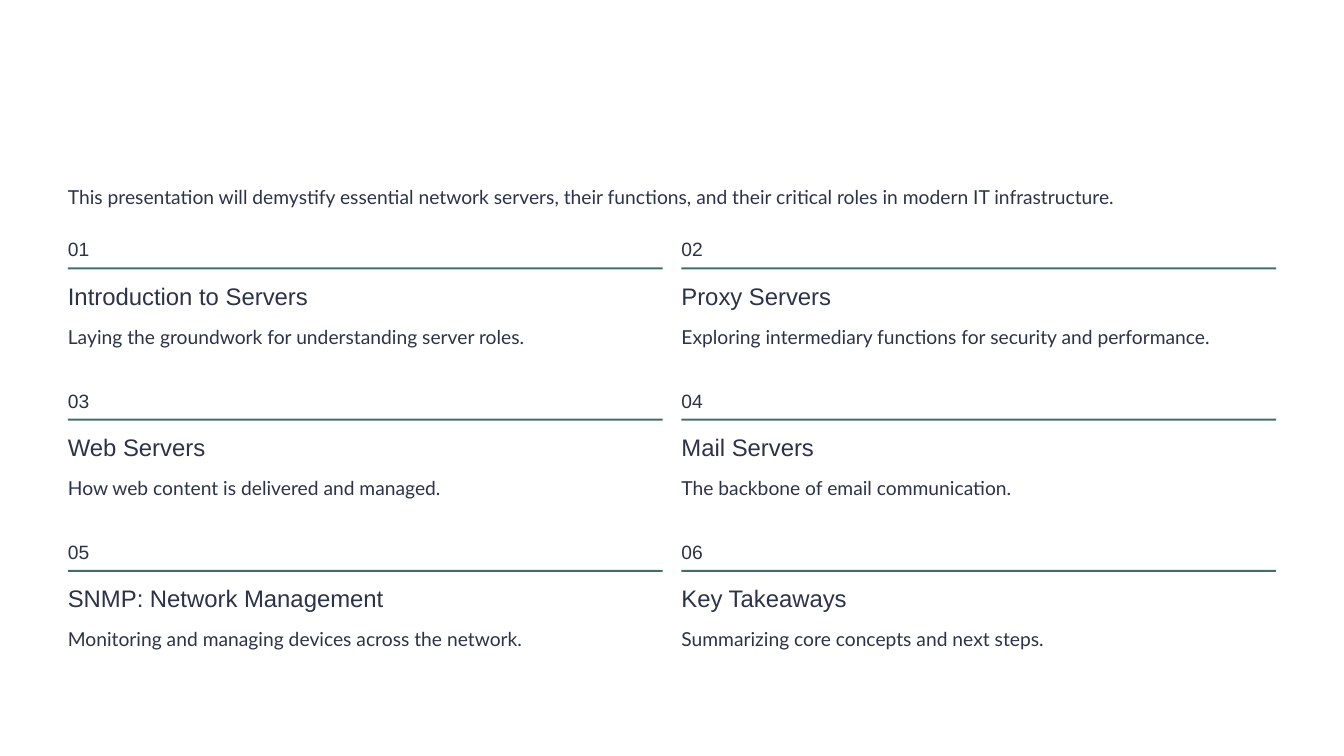
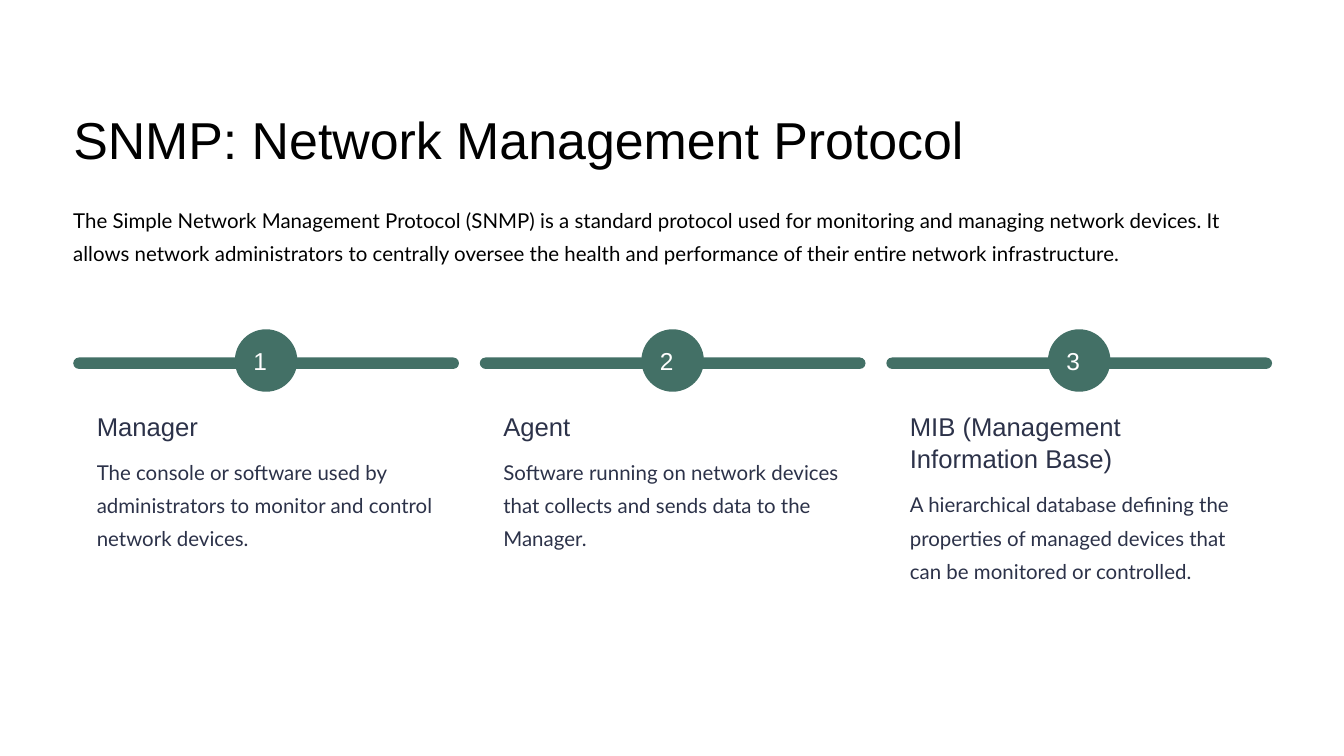
from pptx import Presentation
from pptx.dml.color import RGBColor
from pptx.enum.shapes import MSO_SHAPE
from pptx.util import Inches, Pt

RECT = MSO_SHAPE.RECTANGLE
ROUND = MSO_SHAPE.ROUNDED_RECTANGLE
OVAL = MSO_SHAPE.OVAL

GREEN, INK, BLACK, WHITE = "437066", "2C3249", "000000", "FFFFFF"
HEAD, BODY = "Arial", "Lato"

TOPICS = [
    ("Introduction to Servers", "Laying the groundwork for understanding server roles."),
    ("Proxy Servers", "Exploring intermediary functions for security and performance."),
    ("Web Servers", "How web content is delivered and managed."),
    ("Mail Servers", "The backbone of email communication."),
    ("SNMP: Network Management", "Monitoring and managing devices across the network."),
    ("Key Takeaways", "Summarizing core concepts and next steps."),
]

STEPS = [
    ("Manager", 1, "The console or software used by administrators to monitor "
     "and control network devices."),
    ("Agent", 1, "Software running on network devices that collects and sends "
     "data to the Manager."),
    ("MIB (Management Information Base)", 2, "A hierarchical database defining "
     "the properties of managed devices that can be monitored or controlled."),
]


def rgb(code):
    """Turn a hex string into a colour."""
    return RGBColor.from_string(code)


def write(slide, box, text, font, size, lead, color=INK):
    """Place one paragraph of text without margins."""
    frame = slide.shapes.add_textbox(*map(Inches, box)).text_frame
    frame.word_wrap = True
    frame.margin_left = frame.margin_right = 0
    frame.margin_top = frame.margin_bottom = 0
    para = frame.paragraphs[0]
    para.text = text
    para.line_spacing = Pt(lead)
    para.font.name = font
    para.font.size = Pt(size)
    para.font.color.rgb = rgb(color)


def block(slide, kind, box):
    """Place a plain green shape."""
    shape = slide.shapes.add_shape(kind, *map(Inches, box))
    shape.shadow.inherit = False
    shape.fill.solid()
    shape.fill.fore_color.rgb = rgb(GREEN)
    shape.line.fill.background()
    return shape


def new_slide(deck):
    """Add a blank white slide."""
    slide = deck.slides.add_slide(deck.slide_layouts[6])
    fill = slide.background.fill
    fill.solid()
    fill.fore_color.rgb = rgb(WHITE)
    return slide


def topic(slide, x, y, width, num, title, note):
    """Place a number, rule, title and note for one topic."""
    write(slide, (x, y, 0.83, 0.46), f"{num:02}", HEAD, 20.6, 33.1)
    block(slide, RECT, (x, y + 0.56, width, 0.03))
    write(slide, (x, y + 0.75, 5.51, 0.45), title, HEAD, 25.6, 31.9)
    write(slide, (x, y + 1.3, width, 0.46), note, BODY, 20.6, 33.1)


def step(slide, x, y, width, num, title, lines, note):
    """Place a bar with a numbered disc above a title and note."""
    disc, bar = 0.93, 0.17
    block(slide, ROUND, (x, y + 0.42, width, bar)).adjustments[0] = 0.5
    block(slide, OVAL, (x + (width - disc) / 2, y, disc, disc))
    write(slide, (x + 2.68, y + 0.09, 0.37, 0.6), str(num), HEAD, 26.2, 42.5, WHITE)
    inner, extra = width - 0.71, 0.49 * (lines - 1)
    write(slide, (x + 0.35, y + 1.19, inner, 0.53 + extra), title, HEAD, 27.5, 34.4)
    write(slide, (x + 0.35, y + 1.81 + extra, inner, 1.58), note, BODY, 21.9, 35.6)


def agenda(deck):
    """Build the slide with the grid of topics."""
    slide = new_slide(deck)
    left, top, width, gap, pitch = 1.01, 3.42, 8.85, 0.28, 2.25
    write(slide, (left, 2.64, 17.98, 0.55),
          "This presentation will demystify essential network servers, their "
          "functions, and their critical roles in modern IT infrastructure.",
          BODY, 20.6, 33.1)
    for i, (title, note) in enumerate(TOPICS):
        row, col = divmod(i, 2)
        topic(slide, left + col * (width + gap), top + row * pitch, width,
              i + 1, title, note)


def protocol(deck):
    """Build the slide with the three parts of SNMP."""
    slide = new_slide(deck)
    left, top, width, pitch = 1.09, 4.9, 5.74, 6.05
    write(slide, (left, 1.56, 14.11, 0.97), "SNMP: Network Management Protocol",
          HEAD, 55.6, 69.3, BLACK)
    write(slide, (left, 2.96, 17.83, 1.58),
          "The Simple Network Management Protocol (SNMP) is a standard protocol "
          "used for monitoring and managing network devices. It allows network "
          "administrators to centrally oversee the health and performance of "
          "their entire network infrastructure.", BODY, 21.9, 35.6, BLACK)
    for i, (title, lines, note) in enumerate(STEPS):
        step(slide, left + i * pitch, top, width, i + 1, title, lines, note)


def main():
    """Build and save the deck."""
    deck = Presentation()
    deck.slide_width, deck.slide_height = Inches(20), Inches(11.25)
    agenda(deck)
    protocol(deck)
    deck.save("out.pptx")


if __name__ == "__main__":
    main()
